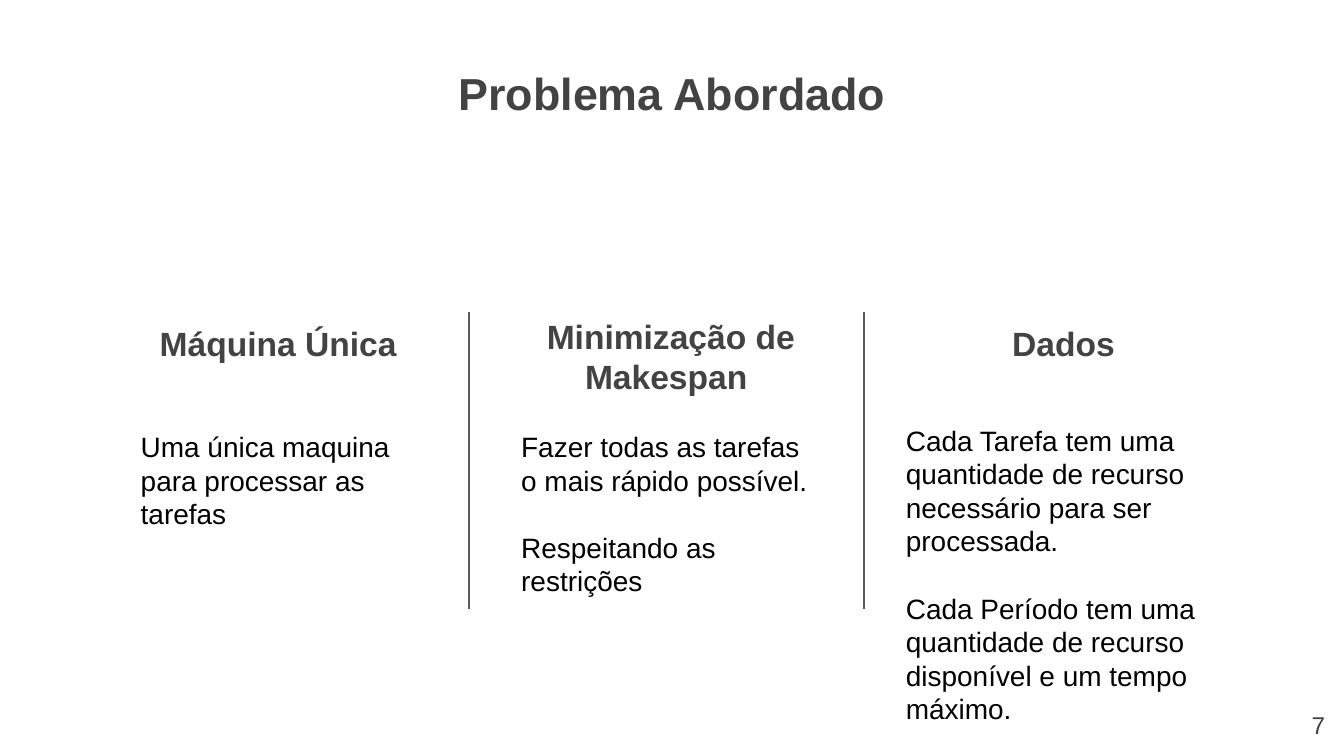
from lxml.etree import SubElement
from pptx import Presentation
from pptx.dml.color import RGBColor
from pptx.enum.shapes import MSO_CONNECTOR
from pptx.enum.text import MSO_ANCHOR, PP_ALIGN
from pptx.oxml.ns import qn
from pptx.util import Cm, Pt

COLORS = {"heading": "434343", "body": "000000", "divider": "595959", "background": "FFFFFF"}
FONT = "Arial"
TITLE = "Problema Abordado"
PAGE_NUMBER = "7"
COLUMNS = [
    {"heading": "Máquina Única", "heading_height": 1.22,
     "body": ["Uma única maquina para processar as tarefas"],
     "body_box": (2.41, 7.87, 5.69, 2.79)},
    {"heading": "Minimização de Makespan ", "heading_height": 1.85,
     "body": ["Fazer todas as tarefas o mais rápido possível.",
              "Respeitando as restrições"],
     "body_box": (9.6, 7.87, 6.17, 4.22)},
    {"heading": "Dados", "heading_height": 1.22,
     "body": ["Cada Tarefa tem uma quantidade de recurso necessário para ser processada.",
              "Cada Período tem uma quantidade de recurso disponível e um tempo máximo."],
     "body_box": (16.87, 7.75, 7.42, 6.07)},
]
COLUMN_LEFT, COLUMN_WIDTH, COLUMN_TOP = 1.55, 7.42, 5.89
DIVIDERS = [8.86, 16.33]
DIVIDER_BOTTOM = 11.51
INSET = 0.25


def add_text(slide, paragraphs, box, size, color="heading", bold=False,
             align=PP_ALIGN.LEFT, anchor=MSO_ANCHOR.TOP, gap=0):
    frame = slide.shapes.add_textbox(*map(Cm, box)).text_frame
    frame.word_wrap = True
    frame.vertical_anchor = anchor
    frame.margin_left = frame.margin_right = Cm(INSET)
    frame.margin_top = frame.margin_bottom = Cm(INSET)
    for index, text in enumerate(paragraphs):
        paragraph = frame.add_paragraph() if index else frame.paragraphs[0]
        paragraph.alignment = align
        if index:
            paragraph.space_before = Pt(gap)
        run = paragraph.add_run()
        run.text = text
        run.font.name = FONT
        run.font.size = Pt(size)
        run.font.bold = bold
        run.font.color.rgb = RGBColor.from_string(COLORS[color])


def add_divider(slide, x):
    line = slide.shapes.add_connector(
        MSO_CONNECTOR.STRAIGHT, Cm(x), Cm(COLUMN_TOP), Cm(x), Cm(DIVIDER_BOTTOM))
    line.line.color.rgb = RGBColor.from_string(COLORS["divider"])
    line.line.width = Pt(0.75)
    SubElement(line._element.spPr, qn("a:effectLst"))


def main():
    presentation = Presentation()
    presentation.slide_width, presentation.slide_height = Cm(25.4), Cm(14.29)
    slide = presentation.slides.add_slide(presentation.slide_layouts[6])
    slide.background.fill.solid()
    slide.background.fill.fore_color.rgb = RGBColor.from_string(COLORS["background"])

    for index, column in enumerate(COLUMNS):
        left = COLUMN_LEFT + index * COLUMN_WIDTH
        add_text(slide, [column["heading"]],
                 (left, COLUMN_TOP, COLUMN_WIDTH, column["heading_height"]),
                 size=18, bold=True, align=PP_ALIGN.CENTER, anchor=MSO_ANCHOR.BOTTOM)
        add_text(slide, column["body"], column["body_box"], size=15, color="body", gap=18)

    add_text(slide, [TITLE], (5.46, 0.99, 14.48, 2.62), size=24, bold=True,
             align=PP_ALIGN.CENTER)
    add_text(slide, [PAGE_NUMBER], (23.77, 13.18, 1.52, 1.09), size=13,
             align=PP_ALIGN.RIGHT)
    for x in DIVIDERS:
        add_divider(slide, x)

    presentation.save("out.pptx")


if __name__ == "__main__":
    main()
